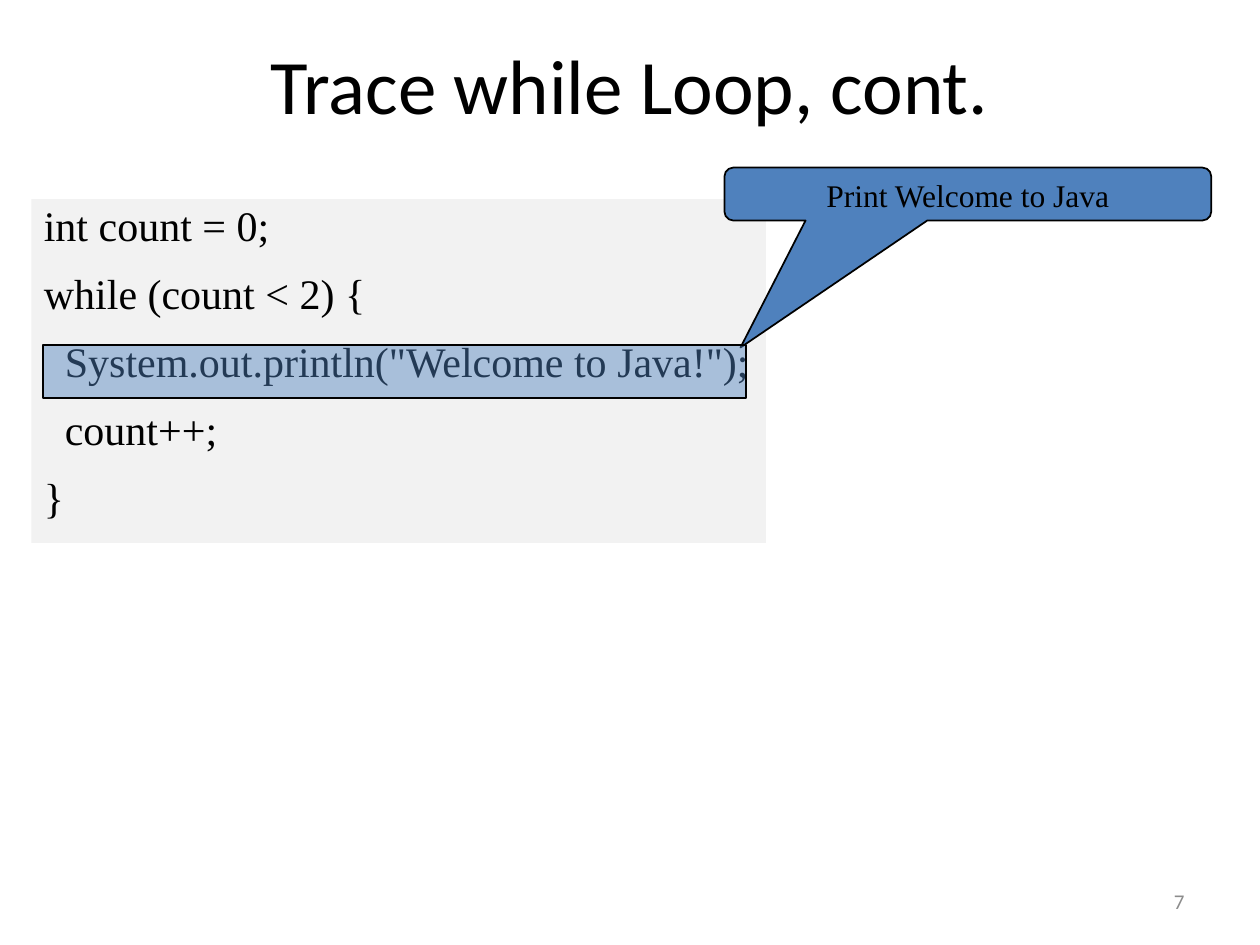
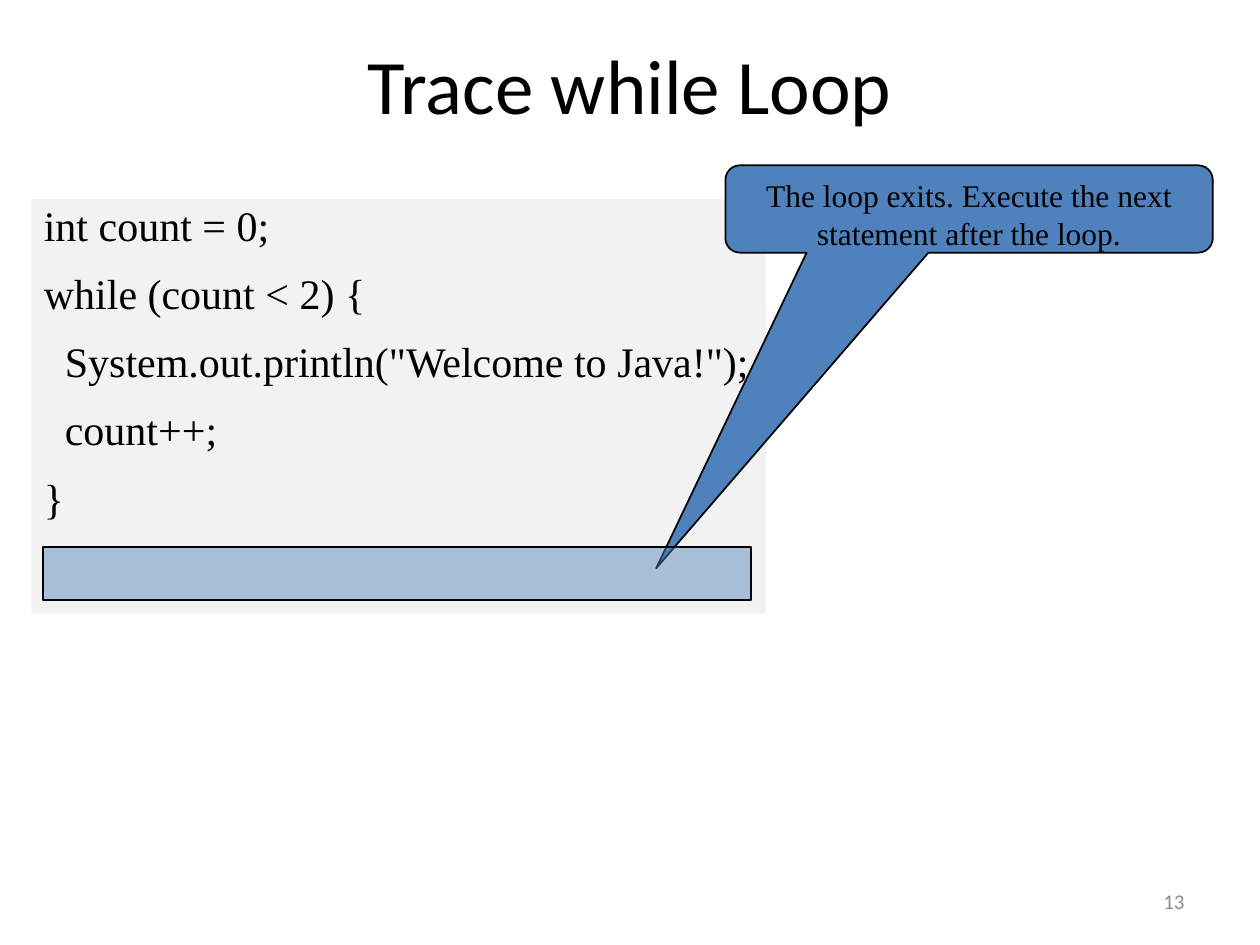
from pptx import Presentation
from pptx.dml.color import RGBColor
from pptx.enum.shapes import MSO_SHAPE as SHAPE
from pptx.enum.text import MSO_ANCHOR as ANCHOR, PP_ALIGN as ALIGN
from pptx.oxml import parse_xml
from pptx.oxml.ns import nsdecls, qn
from pptx.util import Pt

CODE = [  # (indent level, line)
    (0, "int count = 0;"),
    (0, "while (count < 2) {"),
    (1, 'System.out.println("Welcome to Java!");'),
    (1, "count++;"),
    (0, "}"),
]


def rgb(value):
    return RGBColor.from_string(value)


class Deck:
    BLACK, BLUE, PANEL, GREY = "000000", "4F81BD", "F2F2F2", "8C8C8C"
    TITLE = {"name": "Calibri", "size": Pt(44), "color": BLACK}
    NUMBER = {"name": "Calibri", "size": Pt(12), "color": GREY}
    CODE = {"name": "Times New Roman", "size": Pt(24), "color": BLACK}
    NOTE = {"name": "Times New Roman", "size": Pt(18), "color": BLACK}

    def __init__(self):
        self.prs = Presentation()
        self.prs.slide_width, self.prs.slide_height = Pt(720), Pt(540)
        self.slide = None

    def add_text(self, p, text, style, align):
        p.alignment = align
        r = p.add_run()
        r.text = text
        for key, value in style.items():
            if key == "color":
                r.font.color.rgb = rgb(value)
            else:
                setattr(r.font, key, value)

    def shape(self, kind, box, fill, line=None):
        sp = self.slide.shapes.add_shape(kind, *map(Pt, box))
        sp.shadow.inherit = False
        sp.fill.solid()
        sp.fill.fore_color.rgb = rgb(fill)
        if line:
            sp.line.color.rgb = rgb(line)
            sp.line.width = Pt(1)
        else:
            sp.line.fill.background()
        sp.text_frame.word_wrap = True
        sp.text_frame.vertical_anchor = ANCHOR.TOP
        return sp

    # New slide with title and slide number
    def start(self, title, number):
        self.slide = self.prs.slides.add_slide(self.prs.slide_layouts[5])
        sp = self.slide.shapes.title
        sp.left, sp.top, sp.width, sp.height = map(Pt, (54, 18, 612, 60))
        sp.text_frame.vertical_anchor = ANCHOR.MIDDLE
        self.add_text(sp.text_frame.paragraphs[0], title, self.TITLE, ALIGN.CENTER)

        sp = self.slide.shapes.add_textbox(*map(Pt, (516.24, 500.4, 167.76, 28.8)))
        tf = sp.text_frame
        tf.word_wrap = True
        tf.vertical_anchor = ANCHOR.MIDDLE
        self.add_text(tf.paragraphs[0], str(number), self.NUMBER, ALIGN.RIGHT)

    # Grey panel holding the program
    def code(self, lines, height):
        tf = self.shape(SHAPE.RECTANGLE, (18, 113.76, 419.76, height), self.PANEL).text_frame
        for i, (level, text) in enumerate(lines):
            p = tf.add_paragraph() if i else tf.paragraphs[0]
            p.line_spacing = 0.9
            p.space_before = Pt(13 if i else 0)
            self.add_text(p, text, self.CODE, ALIGN.LEFT)
            p._p.get_or_add_pPr().set("marL", str(Pt(12 * level)))

    # Speech bubble whose tail points at the current statement
    def callout(self, text, box, tail):
        sp = self.shape(SHAPE.ROUNDED_RECTANGULAR_CALLOUT, box, self.BLUE, self.BLACK)
        for i, value in enumerate((*tail, 0.167)):
            sp.adjustments[i] = value
        self.add_text(sp.text_frame.paragraphs[0], text, self.NOTE, ALIGN.CENTER)

    # See-through bar over the current statement
    def highlight(self, top, width):
        sp = self.shape(SHAPE.RECTANGLE, (24.48, top, width, 30.24), self.BLUE, self.BLACK)
        color = sp._element.spPr.find(qn("a:solidFill"))[0]
        color.append(parse_xml(f'<a:alpha {nsdecls("a")} val="45000"/>'))


deck = Deck()

# Slide 1: the print statement runs
deck.start("Trace while Loop, cont.", 7)
deck.code(CODE, 196.56)
deck.callout("Print Welcome to Java", (414, 95.76, 278.2, 30.24), (-0.467, 2.901))
deck.highlight(197.28, 401.76)

# Slide 2: the loop has ended
deck.start("Trace while Loop", 13)
deck.code(CODE, 236.88)
deck.callout("The loop exits. Execute the next statement after the loop.",
             (414.5, 94.5, 278.5, 49.9), (-0.642, 4.115))
deck.highlight(312.48, 404.64)

deck.prs.save("out.pptx")
